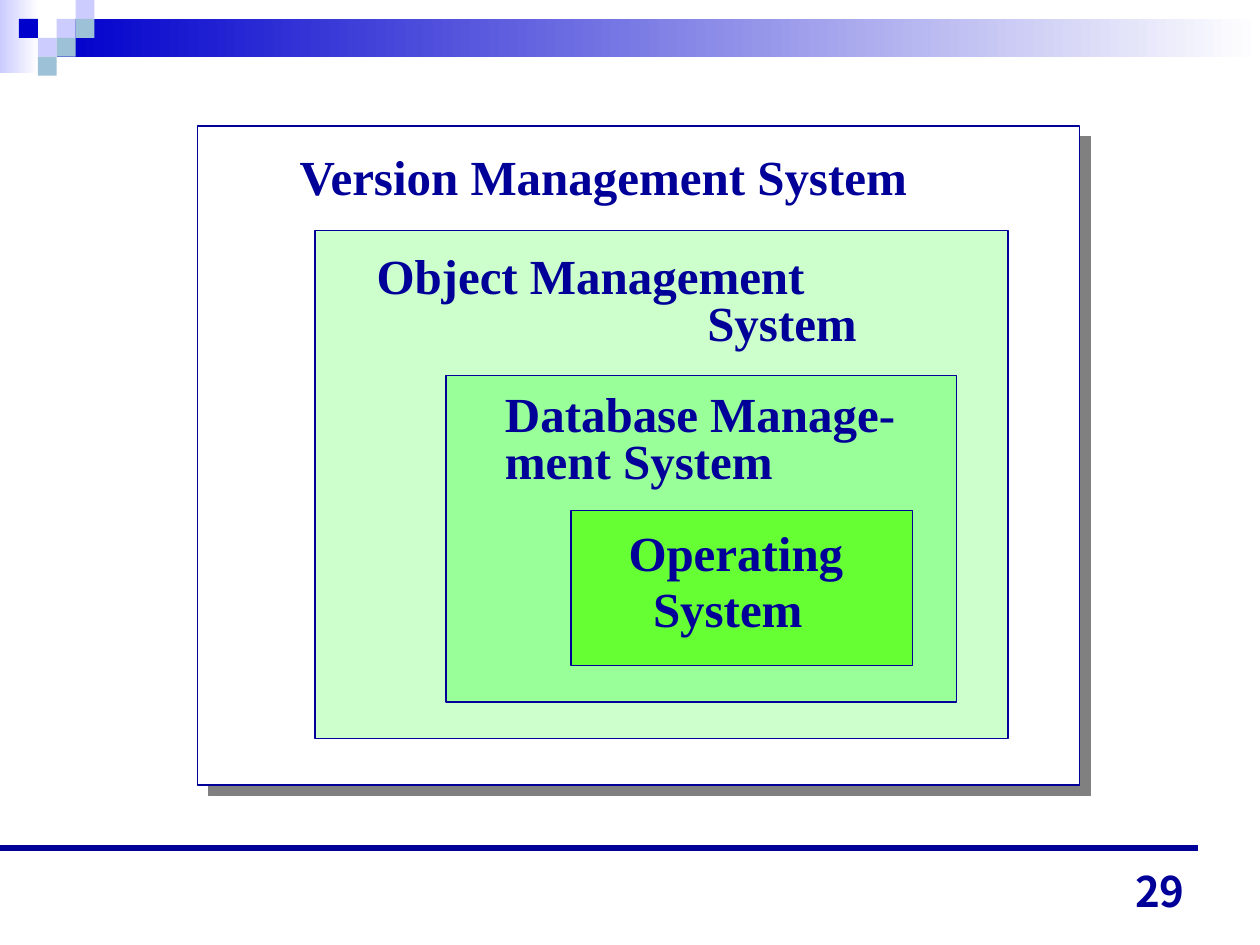
from dataclasses import dataclass

from lxml.etree import SubElement
from pptx import Presentation
from pptx.dml.color import RGBColor
from pptx.enum.shapes import MSO_CONNECTOR, MSO_SHAPE
from pptx.enum.text import MSO_ANCHOR, PP_ALIGN
from pptx.oxml.ns import qn
from pptx.shapes.autoshape import Shape
from pptx.slide import Slide
from pptx.util import Pt

NAVY = RGBColor(0x00, 0x00, 0x99)
BLUE = RGBColor(0x00, 0x00, 0xCC)
LAVENDER = RGBColor(0xCC, 0xCC, 0xFF)
STEEL = RGBColor(0x9D, 0xC2, 0xD7)
WHITE = RGBColor(0xFF, 0xFF, 0xFF)
PALE_GREEN = RGBColor(0xCC, 0xFF, 0xCC)
LIGHT_GREEN = RGBColor(0x99, 0xFF, 0x99)
GREEN = RGBColor(0x66, 0xFF, 0x33)
GRAY = RGBColor(0x80, 0x80, 0x80)
CELL = 10.8


@dataclass(frozen=True)
class Box:
    left: float
    top: float
    width: float
    height: float


@dataclass(frozen=True)
class Layer:
    frame: Box
    color: RGBColor
    title: Box
    lines: tuple[str, ...]
    spacing: float = 1.0
    second_indent: float = 0


@dataclass(frozen=True)
class Tile:
    column: int
    row: int
    color: RGBColor


LAYERS = (
    Layer(Box(113, 72, 504, 376.6), WHITE, Box(164.2, 80, 368, 41),
          ("Version Management System",)),
    Layer(Box(180, 131.8, 396, 290.2), PALE_GREEN, Box(208.1, 143.3, 296, 61.2),
          ("Object Management", "System"), 0.8, 189),
    Layer(Box(254.9, 214.6, 291.6, 186.5), LIGHT_GREEN, Box(281.5, 221.8, 244, 61.2),
          ("Database Manage-", "ment System"), 0.8),
    Layer(Box(326.2, 291.6, 195.1, 88.6), GREEN, Box(352.1, 297.4, 144, 71.3),
          ("Operating", "System"), 0.95, 14),
)
TILES = (
    Tile(3, 1, LAVENDER), Tile(4, 0, LAVENDER), Tile(4, 1, STEEL),
    Tile(2, 2, LAVENDER), Tile(1, 1, BLUE), Tile(3, 2, STEEL), Tile(2, 3, STEEL),
)


def add_rectangle(slide: Slide, box: Box) -> Shape:
    """Add a rectangle with neither outline nor shadow."""
    rectangle = slide.shapes.add_shape(
        MSO_SHAPE.RECTANGLE, Pt(box.left), Pt(box.top), Pt(box.width), Pt(box.height))
    rectangle.shadow.inherit = False
    rectangle.line.fill.background()
    return rectangle


def add_fade(slide: Slide, box: Box, color: RGBColor) -> None:
    """Add a band that fades to white on the right."""
    fill = add_rectangle(slide, box).fill
    fill.gradient()
    fill.gradient_angle = 0
    for stop, shade in zip(fill.gradient_stops, (color, WHITE)):
        stop.color.rgb = shade


def add_tile(slide: Slide, tile: Tile) -> None:
    """Add one square of the header mosaic."""
    square = add_rectangle(slide, Box(tile.column * CELL, tile.row * CELL, CELL, CELL))
    square.fill.solid()
    square.fill.fore_color.rgb = tile.color


def add_frame(slide: Slide, layer: Layer) -> Shape:
    """Add the outlined rectangle of a layer."""
    frame = add_rectangle(slide, layer.frame)
    frame.fill.solid()
    frame.fill.fore_color.rgb = layer.color
    frame.line.color.rgb = NAVY
    frame.line.width = Pt(0.75)
    return frame


def add_drop_shadow(frame: Shape) -> None:
    """Give a frame a hard gray shadow to the lower right."""
    effects = frame._element.spPr.find(qn("a:effectLst"))
    shadow = SubElement(effects, qn("a:outerShdw"), blurRad="0", dist=str(Pt(8.5)),
                        dir="2700000", algn="ctr", rotWithShape="0")
    SubElement(shadow, qn("a:srgbClr"), val=str(GRAY))


def add_text(slide: Slide, box: Box, lines: tuple[str, ...], font_name: str, size: float) -> Shape:
    """Add a box of bold navy paragraphs."""
    text_box = slide.shapes.add_textbox(
        Pt(box.left), Pt(box.top), Pt(box.width), Pt(box.height))
    frame = text_box.text_frame
    frame.word_wrap = True
    frame.text = "\n".join(lines)
    for paragraph in frame.paragraphs:
        font = paragraph.font
        font.name, font.size, font.bold = font_name, Pt(size), True
        font.color.rgb = NAVY
    return text_box


def add_title(slide: Slide, layer: Layer) -> None:
    """Add the title of a layer, with its second line indented."""
    title = add_text(slide, layer.title, layer.lines, "Times New Roman", 28)
    paragraphs = title.text_frame.paragraphs
    for paragraph in paragraphs:
        paragraph.line_spacing = layer.spacing
    for paragraph in paragraphs[1:]:
        properties = paragraph._p.get_or_add_pPr()
        properties.set("marL", str(Pt(layer.second_indent)))
        properties.set("indent", "0")


def add_footer(slide: Slide) -> None:
    """Add the footer rule and the page number."""
    rule = slide.shapes.add_connector(
        MSO_CONNECTOR.STRAIGHT, Pt(0), Pt(484.6), Pt(684.7), Pt(484.6))
    rule.line.color.rgb = NAVY
    rule.line.width = Pt(3.25)
    SubElement(rule._element.spPr, qn("a:effectLst"))
    number = add_text(slide, Box(516.2, 491, 167.8, 36), ("29",), "Noto Sans CJK JP", 24)
    number.text_frame.vertical_anchor = MSO_ANCHOR.BOTTOM
    number.text_frame.paragraphs[0].alignment = PP_ALIGN.RIGHT


def main() -> None:
    """Build the slide of nested system layers."""
    presentation = Presentation()
    presentation.slide_width, presentation.slide_height = Pt(720), Pt(540)
    slide = presentation.slides.add_slide(presentation.slide_layouts[6])
    add_fade(slide, Box(0, 0, 22.3, 41.8), LAVENDER)
    add_fade(slide, Box(3 * CELL, CELL, 720 - 3 * CELL, 2 * CELL), BLUE)
    for tile in TILES:
        add_tile(slide, tile)
    frames = [add_frame(slide, layer) for layer in LAYERS]
    add_drop_shadow(frames[0])
    for layer in LAYERS:
        add_title(slide, layer)
    add_footer(slide)
    presentation.save("out.pptx")


if __name__ == "__main__":
    main()
